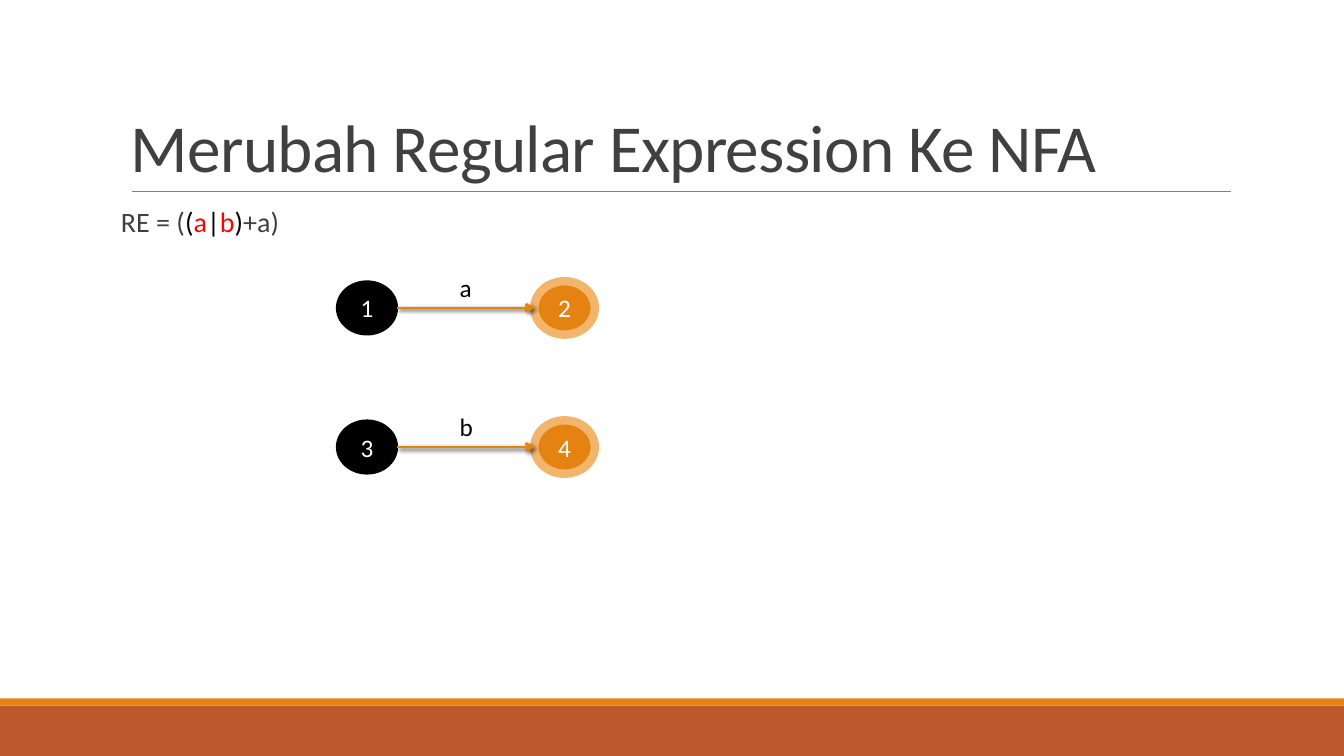
from dataclasses import dataclass

from lxml import etree
from pptx import Presentation
from pptx import util as u
from pptx.dml import color
from pptx.enum import shapes, text
from pptx.oxml import ns

FONT = "Calibri"
COLORS = {
    "black": "000000",
    "white": "FFFFFF",
    "gray": "404040",
    "rule": "808080",
    "red": "FF0000",
    "orange": "E48312",
    "light_orange": "F3B56C",
    "rust": "BD582C",
}
STATE_W, STATE_H = 0.6, 0.53
START_X, FINAL_X, LABEL_X = 3.34, 5.3, 4.46


@dataclass
class Band:
    top: float
    height: float
    fill: str


@dataclass
class Transition:
    start: str
    symbol: str
    final: str
    top: float


BANDS = [Band(7, 0.5, "rust"), Band(6.93, 0.07, "orange")]
TRANSITIONS = [Transition("1", "a", "2", 2.79), Transition("3", "b", "4", 4.17)]
EXPRESSION = [("RE = (", "gray"), ("(", "black"), ("a", "red"), ("|", "black"),
              ("b", "red"), (")", "black"), ("+a)", "gray")]


def rgb(name: str) -> color.RGBColor:
    return color.RGBColor.from_string(COLORS[name])


def style_run(run, size: float, ink: str) -> None:
    run.font.name = FONT
    run.font.size = u.Pt(size)
    run.font.color.rgb = rgb(ink)


def add_box(slide, left: float, top: float, width: float, height: float):
    box = slide.shapes.add_textbox(u.Inches(left), u.Inches(top), u.Inches(width), u.Inches(height))
    box.text_frame.word_wrap = True
    return box.text_frame


def add_filled(slide, kind, left: float, top: float, width: float, height: float, fill: str):
    shape = slide.shapes.add_shape(kind, u.Inches(left), u.Inches(top),
                                   u.Inches(width), u.Inches(height))
    shape.shadow.inherit = False
    shape.fill.solid()
    shape.fill.fore_color.rgb = rgb(fill)
    shape.line.fill.background()
    return shape


def add_line(slide, x1: float, x2: float, y: float, ink: str, weight: float):
    """Draw a horizontal line and return it with its empty effect list."""
    line = slide.shapes.add_connector(shapes.MSO_CONNECTOR.STRAIGHT, u.Inches(x1), u.Inches(y),
                                      u.Inches(x2), u.Inches(y))
    line.line.color.rgb = rgb(ink)
    line.line.width = u.Pt(weight)
    effects = etree.SubElement(line._element.spPr, ns.qn("a:effectLst"))
    return line, effects


def add_arrow(slide, x1: float, x2: float, y: float) -> None:
    arrow, effects = add_line(slide, x1, x2, y, "orange", 2)
    etree.SubElement(arrow.line._get_or_add_ln(), ns.qn("a:tailEnd"), type="arrow")
    shadow = etree.SubElement(effects, ns.qn("a:outerShdw"), blurRad=str(u.Pt(3)),
                              dist=str(u.Pt(2)), dir=str(45 * 60000), rotWithShape="0")
    ink = etree.SubElement(shadow, ns.qn("a:srgbClr"), val=COLORS["black"])
    etree.SubElement(ink, ns.qn("a:alpha"), val="60000")


def add_state(slide, name: str, left: float, top: float, fill: str, ring: str,
              weight: float) -> None:
    state = add_filled(slide, shapes.MSO_SHAPE.OVAL, left, top, STATE_W, STATE_H, fill)
    state.line.color.rgb = rgb(ring)
    state.line.width = u.Pt(weight)
    frame = state.text_frame
    frame.text = name
    frame.vertical_anchor = text.MSO_ANCHOR.MIDDLE
    frame.paragraphs[0].alignment = text.PP_ALIGN.CENTER
    style_run(frame.paragraphs[0].runs[0], 18, "white")


def add_transition(slide, move: Transition) -> None:
    add_state(slide, move.start, START_X, move.top, "black", "black", 1.25)
    add_state(slide, move.final, FINAL_X, move.top, "orange", "light_orange", 6)
    add_arrow(slide, START_X + STATE_W, FINAL_X, move.top + STATE_H / 2)
    label = add_box(slide, LABEL_X, move.top - 0.14, 0.33, 0.4)
    label.word_wrap = False
    label.auto_size = text.MSO_AUTO_SIZE.SHAPE_TO_FIT_TEXT
    label.text = move.symbol
    style_run(label.paragraphs[0].runs[0], 18, "black")


def main() -> None:
    deck = Presentation()
    deck.slide_width, deck.slide_height = u.Inches(13.33), u.Inches(7.5)
    slide = deck.slides.add_slide(deck.slide_layouts[6])

    # Footer bands and the rule under the title
    for band in BANDS:
        add_filled(slide, shapes.MSO_SHAPE.RECTANGLE, 0, band.top, 13.33, band.height, band.fill)
    add_line(slide, 1.31, 12.21, 1.9, "rule", 0.5)

    # Title
    title = add_box(slide, 1.2, 0.31, 11, 1.59)
    title.vertical_anchor = text.MSO_ANCHOR.BOTTOM
    title.text = "Merubah Regular Expression Ke NFA"
    heading = title.paragraphs[0]
    heading.line_spacing = 0.85
    style_run(heading.runs[0], 48, "gray")
    heading.runs[0].font._element.set("spc", "-50")

    # Regular expression
    body = add_box(slide, 1.2, 2.02, 11, 4.4)
    body.margin_left = body.margin_right = 0
    expression = body.paragraphs[0]
    expression.line_spacing = 0.9
    expression.space_after = u.Pt(2)
    for part, ink in EXPRESSION:
        run = expression.add_run()
        run.text = part
        style_run(run, 20, ink)

    # Automata for each symbol
    for move in TRANSITIONS:
        add_transition(slide, move)

    deck.save("out.pptx")


if __name__ == "__main__":
    main()
